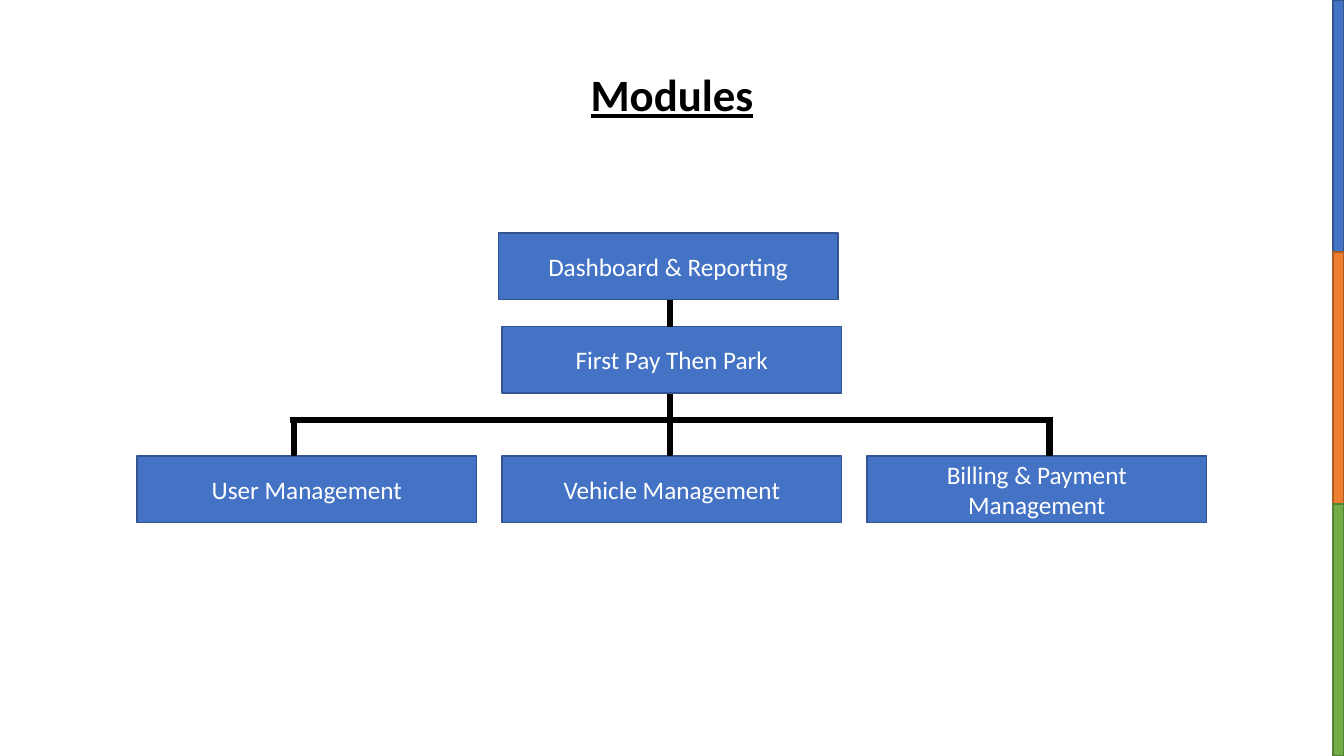
from dataclasses import dataclass

from lxml.etree import SubElement as SubEl
from pptx import Presentation
from pptx.dml.color import RGBColor as RGB
from pptx.enum.shapes import MSO_CONNECTOR as Conn, MSO_SHAPE as Form
from pptx.enum.text import MSO_ANCHOR as Anchor, MSO_AUTO_SIZE as Fit, PP_ALIGN as Align
from pptx.oxml.ns import qn
from pptx.shapes.autoshape import Shape
from pptx.slide import Slide
from pptx.text.text import TextFrame
from pptx.util import Inches, Pt

BLUE = RGB(0x44, 0x72, 0xC4)
NAVY = RGB(0x32, 0x54, 0x91)
ORANGE = RGB(0xED, 0x7D, 0x31)
RUST = RGB(0xAF, 0x5C, 0x24)
GREEN = RGB(0x70, 0xAD, 0x47)
MOSS = RGB(0x53, 0x80, 0x35)
BLACK = RGB(0, 0, 0)
WHITE = RGB(255, 255, 255)

WIDE, HIGH = 13.33, 7.5
LEFT, TOP = 1.36, 2.31
COL, ROW = 3.62, 0.93
BOX_W, BOX_H = 0.93 * COL, 0.71 * ROW
BAR_W = 0.11


@dataclass(frozen=True)
class Band:
    fill: RGB
    edge: RGB


@dataclass(frozen=True)
class Module:
    text: str
    col: float
    row: float


@dataclass(frozen=True)
class Link:
    col: float
    row: float
    end_col: float
    end_row: float


BUS, LEAF, MID = 2, 2.38, 1.46
BANDS = [Band(BLUE, NAVY), Band(ORANGE, RUST), Band(GREEN, MOSS)]
MODULES = [
    Module("Dashboard & Reporting", 0.99, 0),
    Module("First Pay Then Park", 1, 1),
    Module("User Management", 0, LEAF),
    Module("Vehicle Management", 1, LEAF),
    Module("Billing & Payment Management", 2, LEAF),
]
LINKS = [
    Link(MID, 1, MID, 0.72),
    Link(MID, BUS, MID, 1.72),
    Link(0.42, BUS, 2.51, BUS),
    *[Link(col, LEAF, col, BUS) for col in (0.43, MID, 2.5)],
]


def grid_x(col: float) -> Inches:
    return Inches(LEFT + col * COL)


def grid_y(row: float) -> Inches:
    return Inches(TOP + row * ROW)


def style(frame: TextFrame, size: int, color: RGB) -> None:
    frame.vertical_anchor = Anchor.MIDDLE
    for para in frame.paragraphs:
        para.alignment = Align.CENTER
        for run in para.runs:
            run.font.name = "Calibri"
            run.font.size = Pt(size)
            run.font.color.rgb = color


def paint(shape: Shape, fill: RGB, edge: RGB) -> None:
    shape.shadow.inherit = False
    shape.fill.solid()
    shape.fill.fore_color.rgb = fill
    shape.line.color.rgb = edge
    shape.line.width = Pt(1)


def add_title(slide: Slide, text: str) -> None:
    title = slide.shapes.title
    title.left, title.top = Inches(5.75), Inches(0.61)
    title.width, title.height = Inches(1.83), Inches(0.64)
    frame = title.text_frame
    frame.text = text
    frame.word_wrap = False
    frame.auto_size = Fit.SHAPE_TO_FIT_TEXT
    style(frame, 32, BLACK)
    font = frame.paragraphs[0].runs[0].font
    font.bold = font.underline = True


def add_band(slide: Slide, band: Band, index: int) -> None:
    high = HIGH / len(BANDS)
    bar = slide.shapes.add_shape(
        Form.RECTANGLE, Inches(WIDE - BAR_W), Inches(index * high), Inches(BAR_W), Inches(high)
    )
    paint(bar, band.fill, band.edge)


def add_module(slide: Slide, mod: Module) -> None:
    box = slide.shapes.add_shape(
        Form.RECTANGLE, grid_x(mod.col), grid_y(mod.row), Inches(BOX_W), Inches(BOX_H)
    )
    paint(box, BLUE, NAVY)
    box.text_frame.text = mod.text
    box.text_frame.word_wrap = True
    style(box.text_frame, 18, WHITE)


def add_link(slide: Slide, link: Link) -> None:
    line = slide.shapes.add_connector(
        Conn.STRAIGHT,
        grid_x(link.col), grid_y(link.row), grid_x(link.end_col), grid_y(link.end_row),
    )
    line.line.color.rgb = BLACK
    line.line.width = Pt(4.5)
    SubEl(line._element.spPr, qn("a:effectLst"))


def main() -> None:
    deck = Presentation()
    deck.slide_width, deck.slide_height = Inches(WIDE), Inches(HIGH)
    slide = deck.slides.add_slide(deck.slide_layouts[5])
    for index, band in enumerate(BANDS):
        add_band(slide, band, index)
    add_title(slide, "Modules")
    for mod in MODULES:
        add_module(slide, mod)
    for link in LINKS:
        add_link(slide, link)
    deck.save("out.pptx")


if __name__ == "__main__":
    main()
